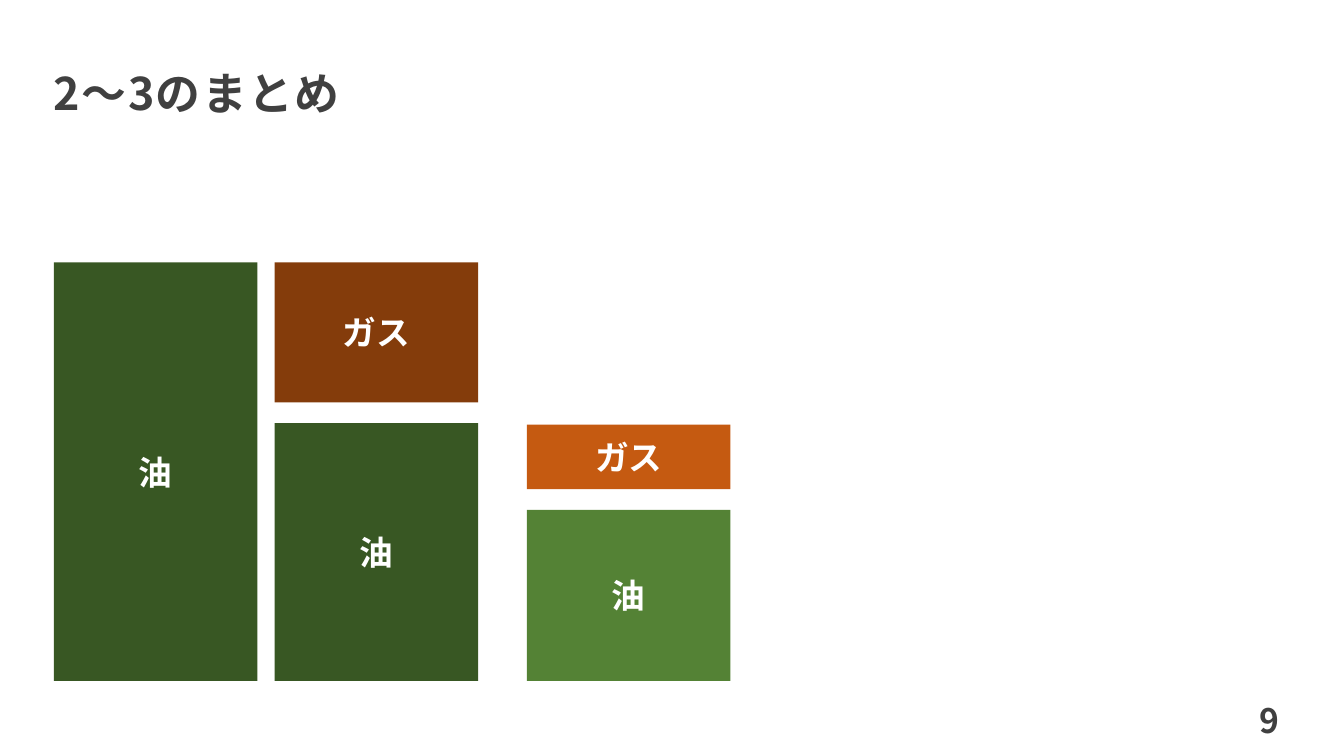
from lxml.etree import SubElement
from pptx import Presentation
from pptx.dml.color import RGBColor
from pptx.enum.shapes import MSO_SHAPE
from pptx.enum.text import MSO_ANCHOR as ANCHOR, PP_ALIGN as ALIGN
from pptx.oxml.ns import qn
from pptx.util import Cm, Pt

FONT = "Noto Sans CJK JP"
COLORS = {
    "text": "404040",
    "white": "FFFFFF",
    "dark_oil": "385723",
    "dark_gas": "843C0B",
    "oil": "548235",
    "gas": "C55A11",
}


def write(sp, text, size, color, align, anchor):
    tf = sp.text_frame
    tf.word_wrap = True
    tf.vertical_anchor = anchor
    p = tf.paragraphs[0]
    p.alignment = align
    r = p.add_run()
    r.text = text
    for key, value in {"name": FONT, "size": Pt(size), "bold": True}.items():
        setattr(r.font, key, value)
    r.font.color.rgb = RGBColor.from_string(COLORS[color])
    SubElement(r.font._element, qn("a:ea"), typeface=FONT)
    return tf


prs = Presentation()
prs.slide_width, prs.slide_height = Cm(33.87), Cm(19.05)
s = prs.slides.add_slide(prs.slide_layouts[6])

number = s.shapes.add_textbox(Cm(29.64), Cm(17.5), Cm(2.84), Cm(1.27))
write(number, "9", 24, "text", ALIGN.RIGHT, ANCHOR.MIDDLE)

title = s.shapes.add_textbox(Cm(1.36), Cm(1.75), Cm(31.14), Cm(1.27))
tf = write(title, "2～3のまとめ", 32, "text", ALIGN.LEFT, ANCHOR.BOTTOM)
for side in ("left", "top", "right", "bottom"):
    setattr(tf, f"margin_{side}", 0)
p = tf.paragraphs[0]
p.line_spacing = 0.9
p.runs[0].font._element.set("spc", "100")

BASE, WIDTH, GAP = 17.16, 5.13, 0.52
stacks = [
    (1.36, [("油", 10.55, "dark_oil")]),
    (6.92, [("油", 6.5, "dark_oil"), ("ガス", 3.53, "dark_gas")]),
    (13.28, [("油", 4.31, "oil"), ("ガス", 1.63, "gas")]),
]
for left, blocks in stacks:
    bottom = BASE
    for label, height, color in blocks:
        sp = s.shapes.add_shape(
            MSO_SHAPE.RECTANGLE, Cm(left), Cm(bottom - height), Cm(WIDTH), Cm(height)
        )
        sp.shadow.inherit = False
        sp.fill.solid()
        sp.fill.fore_color.rgb = RGBColor.from_string(COLORS[color])
        sp.line.fill.background()
        write(sp, label, 24, "white", ALIGN.CENTER, ANCHOR.MIDDLE)
        bottom -= height + GAP

prs.save("out.pptx")
